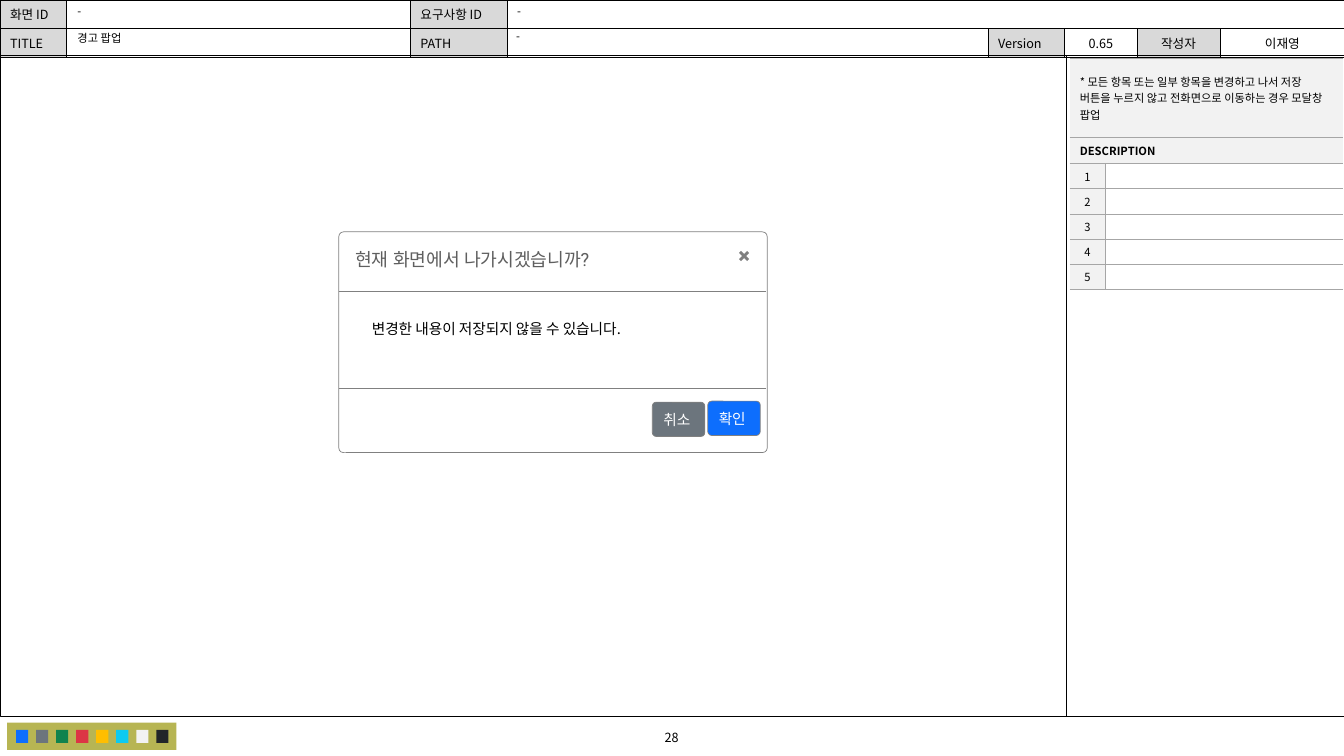
from lxml import etree
from pptx import Presentation
from pptx import util as u
from pptx.dml.color import RGBColor
from pptx.enum import shapes, text
from pptx.oxml import ns

NOTO, ROBOTO = "Noto Sans CJK KR", "Roboto"
LEFT, CENTER = text.PP_ALIGN.LEFT, text.PP_ALIGN.CENTER
TOP, MIDDLE = text.MSO_ANCHOR.TOP, text.MSO_ANCHOR.MIDDLE
PLAIN_TABLE = "{2D5ABB26-0587-4C30-8999-92F81FD0307C}"
INSETS = (0.1, 0.05, 0.1, 0.05)
paint = RGBColor.from_string


def write(holder, frame, words, size, align=LEFT, anchor=MIDDLE, insets=INSETS,
          color="000000", font=NOTO, bold=False):
    for side, inset in zip(("left", "top", "right", "bottom"), insets):
        setattr(holder, f"margin_{side}", u.Inches(inset))
    holder.vertical_anchor = anchor
    para = frame.paragraphs[0]
    para.alignment = align
    if not words:
        end = etree.SubElement(para._p, ns.qn("a:endParaRPr"))
        end.set("sz", str(size * 100))
        return para
    span = para.add_run()
    span.text = words
    for name, value in {"size": u.Pt(size), "name": font, "bold": bold}.items():
        setattr(span.font, name, value)
    span.font.color.rgb = paint(color)
    etree.SubElement(span._r.rPr, ns.qn("a:ea")).set("typeface", font)
    return para


def dress(cell, sides, line, fill):
    props = cell._tc.get_or_add_tcPr()
    for side in sides:
        edge = etree.SubElement(props, ns.qn(f"a:ln{side}"), w="6350")
        solid = etree.SubElement(edge, ns.qn("a:solidFill"))
        etree.SubElement(solid, ns.qn("a:srgbClr"), val=line)
    if fill:
        cell.fill.solid()
        cell.fill.fore_color.rgb = paint(fill)


deck = Presentation()
deck.slide_width, deck.slide_height = u.Inches(13.33), u.Inches(7.5)
page = deck.slides.add_slide(deck.slide_layouts[6])

tables = []
for place, widths, heights in [
    ((0, 0, 13.33, 0.56), [0.66, 3.41, 0.96, 4.77, 0.76, 0.72, 0.82, 1.24], [0.28] * 2),
    ((10.61, 0.58, 2.71, 2.29), [0.35, 2.36], [0.78, 0.26] + [0.25] * 5),
]:
    table = page.shapes.add_table(len(heights), len(widths), *map(u.Inches, place)).table
    table.first_row = table.horz_banding = False
    table._tbl.tblPr.find(ns.qn("a:tableStyleId")).text = PLAIN_TABLE
    for column, width in zip(table.columns, widths):
        column.width = u.Inches(width)
    for row, height in zip(table.rows, heights):
        row.height = u.Inches(height)
    tables.append(table)
header, notes = tables

header.cell(0, 3).merge(header.cell(0, 7))
header_rows = [
    ["화면 ID", "", "요구사항 ID", "", "", "", "", ""],
    ["TITLE", "", "PATH", "", "Version", "0.65", "작성자", "이재영"],
]
for r, labels in enumerate(header_rows):
    for c, label in enumerate(labels):
        cell = header.cell(r, c)
        shaded = label and c % 2 == 0
        dress(cell, "LRTB", "000000", "D9D9D9" if shaded else "FFFFFF")
        write(cell, cell.text_frame, label, 9, CENTER if c > 4 else LEFT)

warning = ("* 모든 항목 또는 일부 항목을 변경하고 나서 저장 버튼을 누르지 않고 "
           "전화면으로 이동하는 경우 모달창 팝업")
for r, label in enumerate([warning, "DESCRIPTION", "1", "2", "3", "4", "5"]):
    first, second = notes.cell(r, 0), notes.cell(r, 1)
    numbered = r > 1
    if not numbered:
        first.merge(second)
    dress(first, "TB", "A6A6A6", "F2F2F2")
    dress(second, "LTB" if numbered else "TB", "A6A6A6", None)
    write(first, first.text_frame, label, 8, CENTER if numbered else LEFT,
          insets=(0, 0, 0, 0) if numbered else INSETS, bold=label == "DESCRIPTION")
    write(second, second.text_frame, "", 8, insets=(0, 0, 0, 0))

swatches = ["0D6EFD", "6C757D", "10834E", "DC3545", "FFBE00", "0DCAF0", "F2F2F2", "212529"]
boxes = [
    ((0, 0.55, 13.33, 6.56), None, "000000", 0.25, None),
    ((0.07, 7.17, 1.68, 0.27), "B7B553", None, 0, None),
    *[((0.16 + 1.39 / 7 * i, 7.24, 0.12, 0.13), color, None, 0, None)
      for i, color in enumerate(swatches)],
    ((3.36, 2.3, 4.25, 2.19), "FFFFFF", "808080", 0.5, 0.022),
    ((7.02, 3.98, 0.52, 0.34), "0D6EFD", "808080", 0.5, 0.112),
    ((6.47, 3.99, 0.52, 0.34), "6C757D", "808080", 0.5, 0.112),
]
drawn = []
for place, fill, line, weight, corner in boxes:
    preset = shapes.MSO_SHAPE.ROUNDED_RECTANGLE if corner else shapes.MSO_SHAPE.RECTANGLE
    box = page.shapes.add_shape(preset, *map(u.Inches, place))
    box.shadow.inherit = False
    if corner:
        box.adjustments[0] = corner
    if fill:
        box.fill.solid()
        box.fill.fore_color.rgb = paint(fill)
    else:
        box.fill.background()
    if line:
        box.line.color.rgb = paint(line)
        box.line.width = u.Pt(weight)
    else:
        box.line.fill.background()
    drawn.append(box)

modal, confirm, cancel = (box.text_frame for box in drawn[-3:])
write(modal, modal, "현재 화면에서 나가시겠습니까?", 13, anchor=TOP,
      insets=(0.15, 0.15, 0.1, 0.05), color="5F5F5F", font=ROBOTO)
for button, label in [(confirm, "확인"), (cancel, "취소")]:
    button.word_wrap = False
    write(button, button, label, 10.5, insets=(0.1, 0.07, 0.1, 0.07),
          color="FFFFFF", font=ROBOTO)

for start, stop, color in [
    ((10.58, 0.56), (10.58, 7.11), "000000"),
    ((3.36, 2.89), (7.6, 2.89), "808080"),
    ((3.36, 3.85), (7.6, 3.85), "808080"),
]:
    rule = page.shapes.add_connector(shapes.MSO_CONNECTOR.STRAIGHT,
                                     *map(u.Inches, start + stop))
    rule.line.color.rgb = paint(color)
    rule.line.width = u.Pt(0.5)
    etree.SubElement(rule._element.spPr, ns.qn("a:effectLst"))

cross = [(7.35, 2.49), (7.33, 2.51), (7.36, 2.54), (7.33, 2.57), (7.35, 2.59), (7.38, 2.56),
         (7.41, 2.59), (7.43, 2.57), (7.4, 2.54), (7.43, 2.51), (7.41, 2.49), (7.38, 2.52)]
points = [(u.Inches(x), u.Inches(y)) for x, y in cross]
outline = page.shapes.build_freeform(*points[0])
outline.add_line_segments(points[1:], close=True)
close_mark = outline.convert_to_shape()
close_mark.shadow.inherit = False
close_mark.fill.solid()
close_mark.fill.fore_color.rgb = paint("808080")
close_mark.line.fill.background()

for place, words, size, align, anchor, spacing in [
    ((5.37, 7.19, 2.58, 0.25), "28", 9, CENTER, MIDDLE, 1.0),
    ((3.59, 3.12, 3.07, 0.28), "변경한 내용이 저장되지 않을 수 있습니다.", 10.5, LEFT, TOP, 1.0),
    ((5.03, 0.01, 8.29, 0.23), "-", 8, LEFT, TOP, 0.9),
    ((0.67, 0.01, 3.4, 0.23), "-", 8, LEFT, TOP, 0.9),
    ((0.67, 0.28, 3.38, 0.2), "경고 팝업", 8, LEFT, TOP, 0.9),
    ((5.02, 0.26, 4.74, 0.23), "-", 8, LEFT, TOP, 0.9),
]:
    frame = page.shapes.add_textbox(*map(u.Inches, place)).text_frame
    frame.word_wrap = True
    write(frame, frame, words, size, align, anchor).line_spacing = spacing

deck.save("out.pptx")
